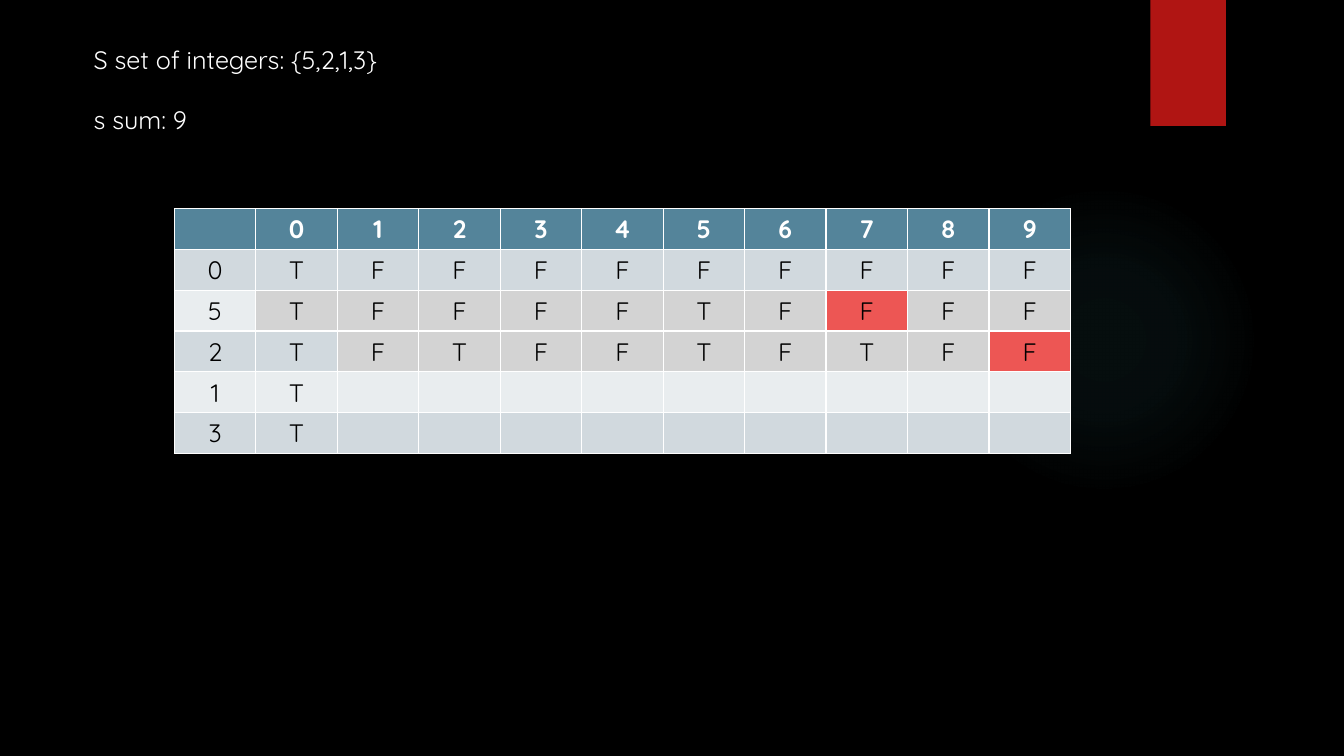
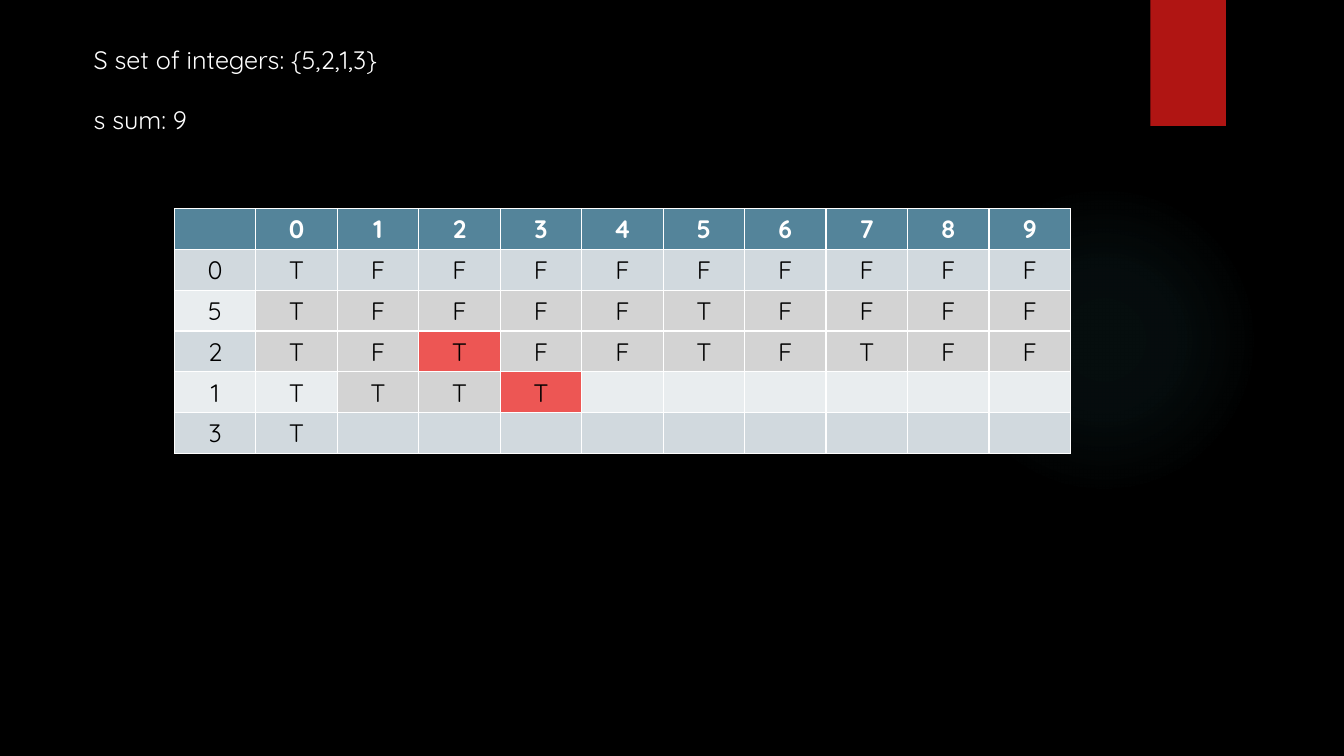
from dataclasses import dataclass

from pptx import Presentation
from pptx.dml.color import RGBColor
from pptx.enum.shapes import MSO_SHAPE as Preset
from pptx.enum.text import MSO_AUTO_SIZE as AutoSize, PP_ALIGN as Align
from pptx.oxml import parse_xml
from pptx.oxml.ns import nsdecls
from pptx.util import Pt

PX = 9144  # 100 px to the inch


@dataclass(frozen=True)
class Theme:
    background: str = "000000"
    ribbon: str = "B01513"
    glow: str = "50B9C1"
    light_text: str = "FFFFFF"
    dark_text: str = "000000"
    header: str = "54849A"
    bands: tuple = ("D1D9DE", "E9EDEF")
    computed: str = "D3D3D3"
    highlight: str = "ED5654"
    font: str = "Quicksand"
    body: int = 18
    paragraph_gap: int = 21


THEME = Theme()
SLIDE_SIZE = (1333, 750)
GLOW_BOX = (941, 183, 308, 308)
RIBBON_BOX = (1141, 0, 75, 125)
PROBLEM_BOX = (83, 39, 319, 101)
TABLE_BOX = (173, 207, 889, 243)

PROBLEM = ("S set of integers: {5,2,1,3}", "s sum: 9")
SUMS = "0123456789"
# Each step: rows of (integer, truth values, first computed column),
# then the highlighted (integer, sum) cells
ROW_ZERO = ("0", "TFFFFFFFFF", 10)
ROW_FIVE = ("5", "TFFFFTFFFF", 0)
ROW_THREE = ("3", "T", 1)
STEPS = (
    ((ROW_ZERO, ROW_FIVE, ("2", "TFTFFTFTFF", 1), ("1", "T", 1), ROW_THREE),
     {("5", 7), ("2", 9)}),
    ((ROW_ZERO, ROW_FIVE, ("2", "TFTFFTFTFF", 0), ("1", "TTTT", 1), ROW_THREE),
     {("2", 2), ("1", 3)}),
)


def emu(box):
    return [length * PX for length in box]


def paint(fill, color):
    fill.solid()
    fill.fore_color.rgb = RGBColor.from_string(color)


def write(paragraph, text, color=THEME.light_text, size=THEME.body,
          bold=False, align=Align.LEFT, before=0):
    paragraph.alignment = align
    if before:
        paragraph.space_before = Pt(before)
    font = paragraph.font
    if text:
        run = paragraph.add_run()
        run.text = text
        font = run.font
    font.name, font.size, font.bold = THEME.font, Pt(size), bold
    font.color.rgb = RGBColor.from_string(color)


def add_plain_shape(slide, preset, box):
    shape = slide.shapes.add_shape(preset, *emu(box))
    shape.shadow.inherit = False
    shape.line.fill.background()
    return shape


def add_glow(slide, box):
    shape = add_plain_shape(slide, Preset.OVAL, box)
    shape.fill.background()
    stops = "".join(
        f'<a:gs pos="{position * 1000}"><a:srgbClr val="{THEME.glow}">'
        f'<a:alpha val="{alpha * 1000}"/></a:srgbClr></a:gs>'
        for position, alpha in ((0, 7), (36, 6), (69, 0)))
    gradient = parse_xml(
        f'<a:gradFill {nsdecls("a")}><a:gsLst>{stops}</a:gsLst>'
        '<a:path path="circle"><a:fillToRect l="50000" t="50000" '
        'r="50000" b="50000"/></a:path></a:gradFill>')
    properties = shape.element.spPr
    no_fill = properties.find("{*}noFill")
    properties.replace(no_fill, gradient)
    return shape


def add_ribbon(slide, box):
    shape = add_plain_shape(slide, Preset.RECTANGLE, box)
    paint(shape.fill, THEME.ribbon)
    return shape


def decorate_layout(layout, slide):
    """Draw the shared decoration on a slide, then move it to its layout."""
    paint(layout.background.fill, THEME.background)
    for placeholder in list(layout.placeholders):
        layout.shapes.element.remove(placeholder.element)
    for shape in (add_glow(slide, GLOW_BOX), add_ribbon(slide, RIBBON_BOX)):
        layout.shapes.element.append(shape.element)


def add_problem(slide, box):
    frame = slide.shapes.add_textbox(*emu(box)).text_frame
    frame.word_wrap = False
    frame.auto_size = AutoSize.SHAPE_TO_FIT_TEXT
    for index, line in enumerate(PROBLEM):
        paragraph = frame.add_paragraph() if index else frame.paragraphs[0]
        write(paragraph, line, before=THEME.paragraph_gap if index else 0)


def fill_cell(cell, text, background, **text_format):
    paint(cell.fill, background)
    write(cell.text_frame.paragraphs[0], text, align=Align.CENTER, **text_format)


def add_truth_table(slide, box, rows, highlights):
    row_count, column_count = len(rows) + 1, len(SUMS) + 1
    left, top, width, height = emu(box)
    table = slide.shapes.add_table(
        row_count, column_count, left, top, width, height).table
    table.horz_banding = False
    for column in table.columns:
        column.width = width // column_count
    for row in table.rows:
        row.height = height // row_count

    # Header of sums
    for column, label in enumerate(("", *SUMS)):
        fill_cell(table.cell(0, column), label, THEME.header, bold=True)

    # One row for each integer
    for index, (integer, values, first_computed) in enumerate(rows):
        band = THEME.bands[index % 2]
        fill_cell(table.cell(index + 1, 0), integer, band, color=THEME.dark_text)
        for total in range(len(SUMS)):
            background = band
            if (integer, total) in highlights:
                background = THEME.highlight
            elif first_computed <= total < len(values):
                background = THEME.computed
            fill_cell(table.cell(index + 1, total + 1), values[total:total + 1],
                      background, color=THEME.dark_text)


def add_step_slide(slide, rows, highlights):
    add_problem(slide, PROBLEM_BOX)
    add_truth_table(slide, TABLE_BOX, rows, highlights)


def main():
    presentation = Presentation()
    presentation.slide_width, presentation.slide_height = emu(SLIDE_SIZE)
    layout = presentation.slide_layouts[6]
    slides = [presentation.slides.add_slide(layout) for _ in STEPS]
    decorate_layout(layout, slides[0])
    for slide, (rows, highlights) in zip(slides, STEPS):
        add_step_slide(slide, rows, highlights)
    presentation.save("out.pptx")


if __name__ == "__main__":
    main()
